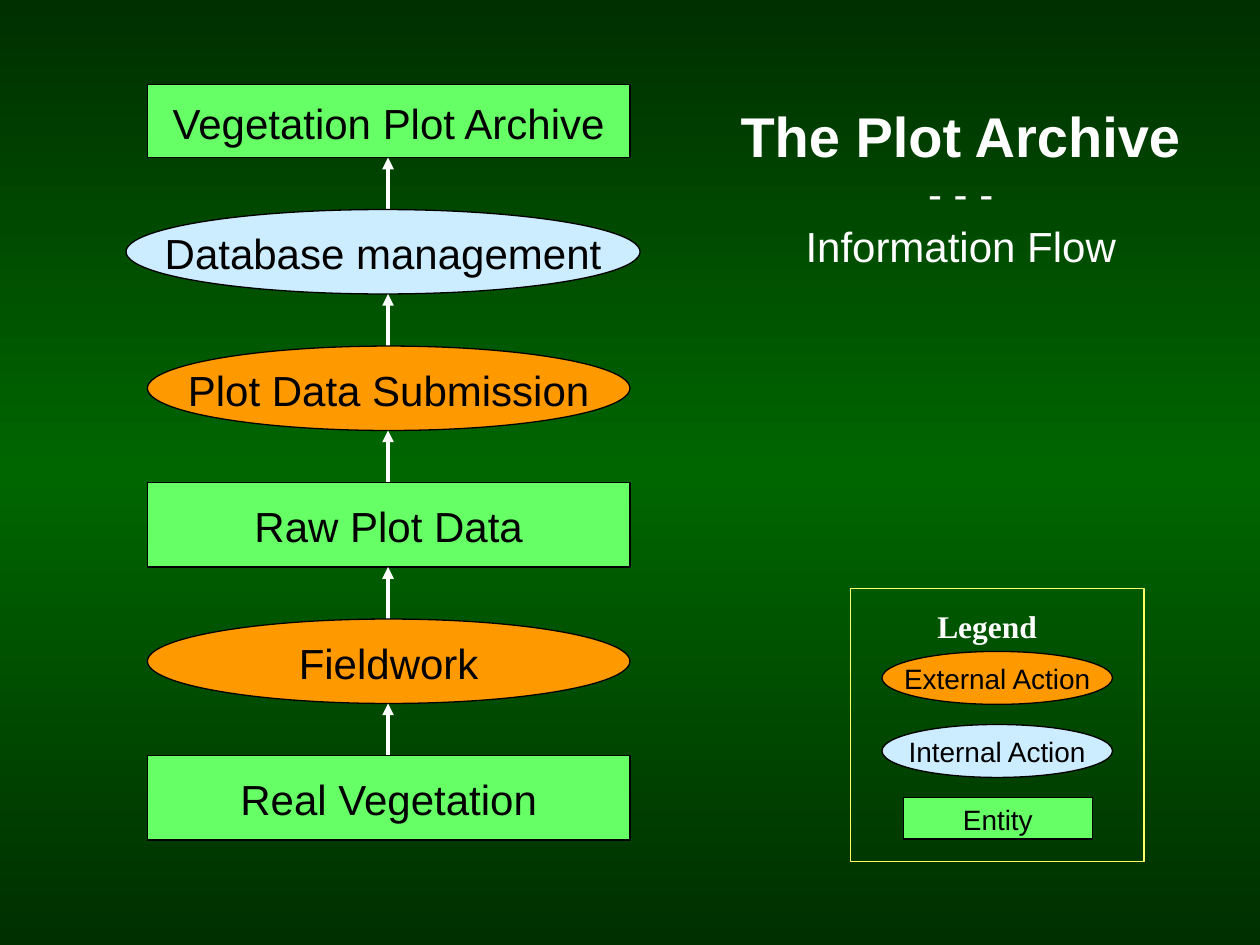
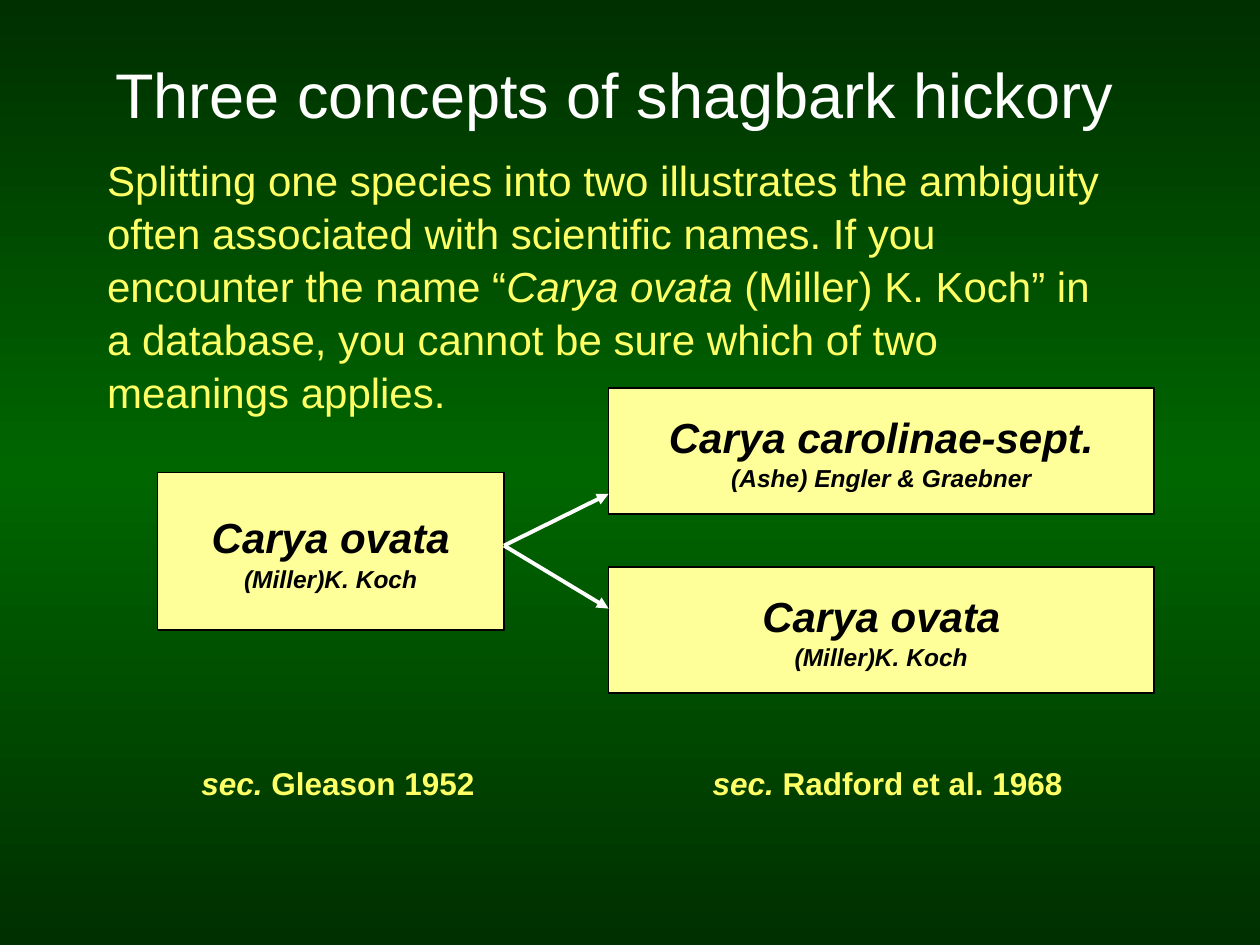
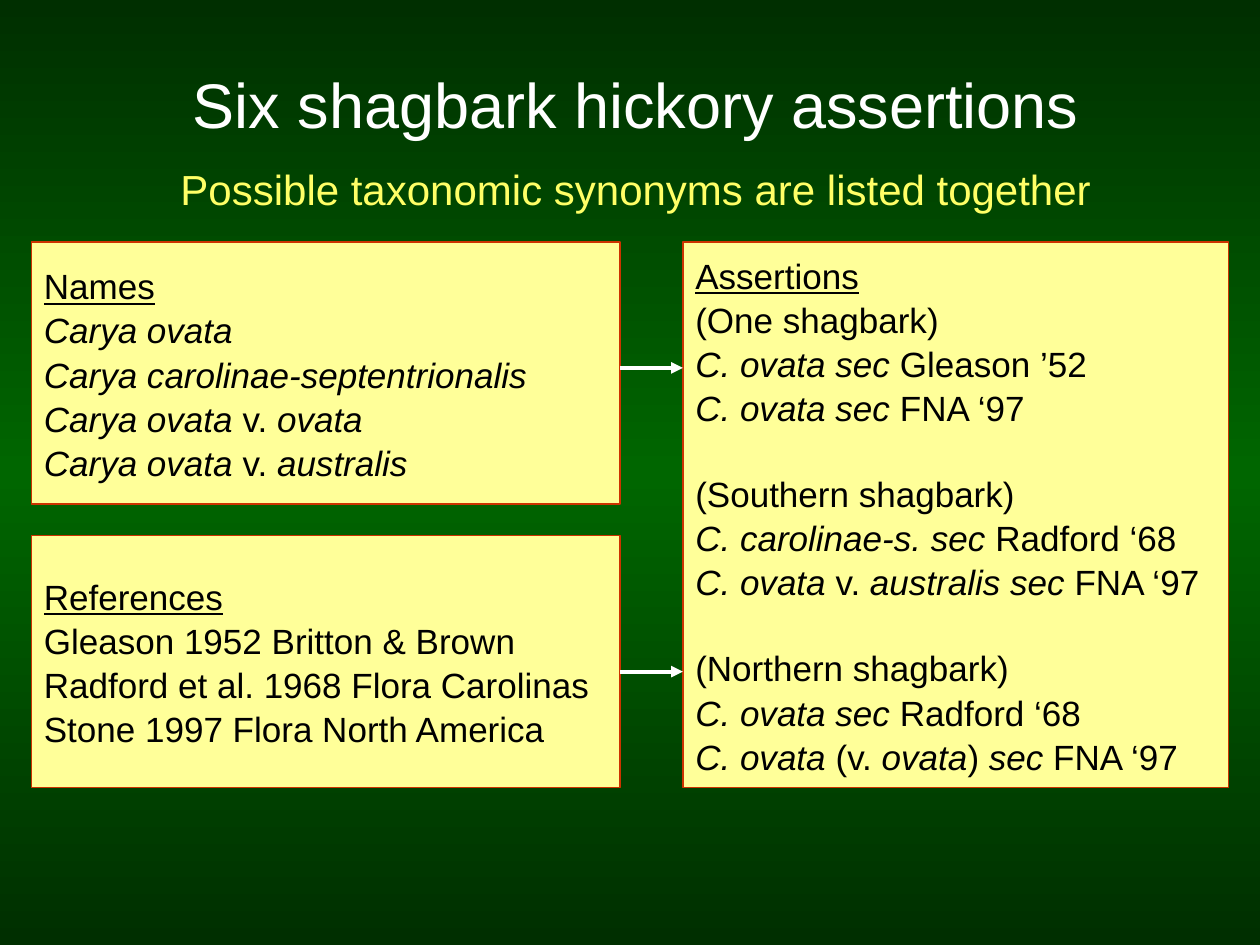
from pptx import Presentation
from pptx.dml.color import RGBColor
from pptx.enum.shapes import MSO_CONNECTOR, MSO_SHAPE
from pptx.enum.text import MSO_ANCHOR, MSO_AUTO_SIZE, PP_ALIGN
from pptx.oxml.ns import qn
from pptx.util import Inches, Pt
from lxml.etree import SubElement
from copy import deepcopy

C = {
    "edge": "002F00", "middle": "006600", "white": "FFFFFF", "black": "000000",
    "yellow": "FFFF66", "cream": "FFFF99", "red": "CC3300",
    "entity": "66FF66", "internal": "CCECFF", "external": "FF9900",
}
RECT, OVAL = MSO_SHAPE.RECTANGLE, MSO_SHAPE.OVAL
LEFT, CENTER = PP_ALIGN.LEFT, PP_ALIGN.CENTER


def rgb(name):
    return RGBColor.from_string(C[name])


class Deck:
    """Shared style plus the slide being filled."""
    font = "Arial"
    line_spacing = 1.05

    def __init__(self):
        self.prs = Presentation()
        self.prs.slide_width, self.prs.slide_height = Inches(10), Inches(7.5)
        self.s = None
        self.set_background()

    def set_background(self):
        master = self.prs.slide_master
        fill = master.background.fill
        fill.gradient()
        fill.gradient_angle = 270
        stops = master.element.find(".//" + qn("a:gsLst"))
        stops.insert(1, deepcopy(stops[0]))
        for stop, pos, name in zip(fill.gradient_stops, (0, 0.5, 1), ("edge", "middle", "edge")):
            stop.position = pos
            stop.color.rgb = rgb(name)

    def new_slide(self):
        self.s = self.prs.slides.add_slide(self.prs.slide_layouts[1])

    def fill_text(self, tf, lines, size, color="black", align=CENTER, font=None, bold=False):
        """Fill a frame; text between underscores is italic."""
        for i, line in enumerate(lines):
            p = tf.paragraphs[0] if i == 0 else tf.add_paragraph()
            p.alignment, p.line_spacing = align, self.line_spacing
            p.space_before = Pt(0)
            for j, part in enumerate(line.split("_")):
                if not part:
                    continue
                r = p.add_run()
                r.text = part
                r.font.name, r.font.size = font or self.font, Pt(size)
                r.font.color.rgb = rgb(color)
                r.font.italic = j % 2 == 1
                r.font.bold = bold

    def placeholder(self, shape, box, lines, size, color, align=CENTER, bold=False):
        shape.left, shape.top, shape.width, shape.height = map(Inches, box)
        tf = shape.text_frame
        tf.word_wrap, tf.auto_size = True, MSO_AUTO_SIZE.NONE
        tf.vertical_anchor = MSO_ANCHOR.TOP
        self.fill_text(tf, lines, size, color, align, bold=bold)

    def title(self, box, text, size=36, bold=False):
        self.placeholder(self.s.shapes.title, box, [text], size, "white", bold=bold)

    def body(self, box, lines, color="yellow", align=CENTER):
        shape = self.s.placeholders[1]
        self.placeholder(shape, box, lines, 24, color, align)
        for p in shape.text_frame.paragraphs:
            pPr = p._p.get_or_add_pPr()
            pPr.set("marL", "0")
            pPr.set("indent", "0")
            SubElement(pPr, qn("a:buNone"))

    def shape(self, kind, box, fill=None, lines=(), size=24, line="black", width=0.75, align=CENTER):
        sp = self.s.shapes.add_shape(kind, *map(Inches, box))
        sp.shadow.inherit = False
        if fill:
            sp.fill.solid()
            sp.fill.fore_color.rgb = rgb(fill)
        else:
            sp.fill.background()
        sp.line.color.rgb, sp.line.width = rgb(line), Pt(width)
        tf = sp.text_frame
        tf.word_wrap, tf.vertical_anchor = False, MSO_ANCHOR.MIDDLE
        self.fill_text(tf, lines, size, align=align)
        return tf

    def label(self, box, text, color, align=LEFT, font=None, wrap=True):
        tf = self.s.shapes.add_textbox(*map(Inches, box)).text_frame
        tf.word_wrap = wrap
        self.fill_text(tf, [text], 18, color, align, font, bold=True)

    def arrow(self, x1, y1, x2, y2):
        c = self.s.shapes.add_connector(MSO_CONNECTOR.STRAIGHT, *map(Inches, (x1, y1, x2, y2)))
        c.line.color.rgb, c.line.width = rgb("white"), Pt(2.25)
        spPr = c._element.spPr
        SubElement(spPr.find(qn("a:ln")), qn("a:tailEnd"), type="triangle")
        SubElement(spPr, qn("a:effectLst"))

    def taxon(self, box, name, author):
        tf = self.shape(RECT, box, "cream", [f"_{name}_", f"_{author}_"])
        for p, size in zip(tf.paragraphs, (24, 14)):
            p.runs[0].font.size, p.runs[0].font.bold = Pt(size), True

    def listing(self, box, heading, groups):
        """Panel with an underlined heading and groups set apart by one line."""
        lines = [heading] + [line for group in groups for line in group]
        tf = self.shape(RECT, box, "cream", lines, 20, "red", 1, LEFT)
        tf.paragraphs[0].runs[0].font.underline = True
        start = 1
        for group in groups[:-1]:
            start += len(group)
            tf.paragraphs[start].space_before = Pt(24)


def information_flow(d):
    d.new_slide()
    d.title((5.75, 0.73, 3.75, 0.6), "The Plot Archive", 32, bold=True)
    d.body((5.75, 1.26, 3.75, 0.9), ["- - -", "Information Flow"], "white")

    # Flow steps, top to bottom, each feeding the one above
    steps = [
        ("Vegetation Plot Archive", RECT, "entity", 3.83, 0.58),
        ("Database management", OVAL, "internal", 4.08, 0.67),
        ("Plot Data Submission", OVAL, "external", 3.83, 0.67),
        ("Raw Plot Data", RECT, "entity", 3.83, 0.67),
        ("Fieldwork", OVAL, "external", 3.83, 0.67),
        ("Real Vegetation", RECT, "entity", 3.83, 0.67),
    ]
    axis, right, first_bottom, pitch = 3.08, 5.0, 1.25, 6.5 / 6
    for i, (text, kind, fill, width, height) in enumerate(steps):
        bottom = first_bottom + i * pitch
        left = 1 if width > 4 else right - width
        d.shape(kind, (left, bottom - height, width, height), fill, [text])
        if i < len(steps) - 1:
            d.arrow(axis, bottom + 0.42, axis, bottom)

    # Legend
    d.shape(RECT, (6.75, 4.67, 2.33, 2.17), line="yellow")
    d.label((7.34, 4.75, 0.99, 0.4), "Legend", "white", font="Times New Roman", wrap=False)
    d.shape(OVAL, (7, 5.17, 1.83, 0.42), "external", ["External Action"], 16)
    d.shape(OVAL, (7, 5.75, 1.83, 0.42), "internal", ["Internal Action"], 16)
    d.shape(RECT, (7.17, 6.33, 1.5, 0.33), "entity", ["Entity"], 16)


def three_concepts(d):
    d.new_slide()
    d.title((0.75, 0.36, 8.25, 0.75), "Three concepts of shagbark hickory")
    d.body((0.75, 1.16, 8.25, 2.1), [
        "Splitting one species into two illustrates the ambiguity often associated with "
        "scientific names. If you encounter the name “_Carya ovata _(Miller) K. Koch” in a "
        "database, you cannot be sure which of two meanings applies."], align=LEFT)

    # One concept split into two
    d.taxon((1.25, 3.75, 2.75, 1.25), "Carya ovata", "(Miller)K. Koch")
    d.taxon((4.83, 3.08, 4.33, 1), "Carya carolinae-sept.", "(Ashe) Engler & Graebner")
    d.taxon((4.83, 4.5, 4.33, 1), "Carya ovata", "(Miller)K. Koch")
    for y in (3.92, 4.83):
        d.arrow(4, 4.33, 4.83, y)

    # Sources
    d.label((1.5, 6, 2.5, 0.4), "_sec._ Gleason 1952", "yellow")
    d.label((4.92, 6, 4.25, 0.4), "_sec._ Radford et al. 1968", "yellow", CENTER)


def six_assertions(d):
    d.new_slide()
    d.title((0.92, 0.44, 8.25, 0.75), "Six shagbark hickory assertions")
    d.body((0.92, 1.23, 8.25, 0.5), ["Possible taxonomic synonyms are listed together"])

    # Names and references combine into assertions
    d.listing((0.25, 1.92, 4.67, 2.08), "Names", [[
        "_Carya ovata_", "_Carya carolinae-septentrionalis_",
        "_Carya ovata _v._ ovata_", "_Carya ovata _v._ australis_"]])
    d.listing((0.25, 4.25, 4.67, 2), "References", [[
        "Gleason 1952 Britton & Brown", "Radford et al. 1968 Flora Carolinas",
        "Stone 1997 Flora North America"]])
    d.listing((5.42, 1.92, 4.33, 4.33), "Assertions", [
        ["(One shagbark)", "_C. ovata sec_ Gleason ’52", "_C. ovata sec_ FNA ‘97"],
        ["(Southern shagbark)", "_C. carolinae-s. sec_ Radford ‘68",
         "_C. ovata _v._ australis sec_ FNA ‘97"],
        ["(Northern shagbark)", "_C. ovata sec_ Radford ‘68",
         "_C. ovata _(v._ ovata_)_ sec_ FNA ‘97"]])
    for y in (2.92, 5.33):
        d.arrow(4.92, y, 5.42, y)


def main():
    d = Deck()
    information_flow(d)
    three_concepts(d)
    six_assertions(d)
    d.prs.save("out.pptx")


if __name__ == "__main__":
    main()
